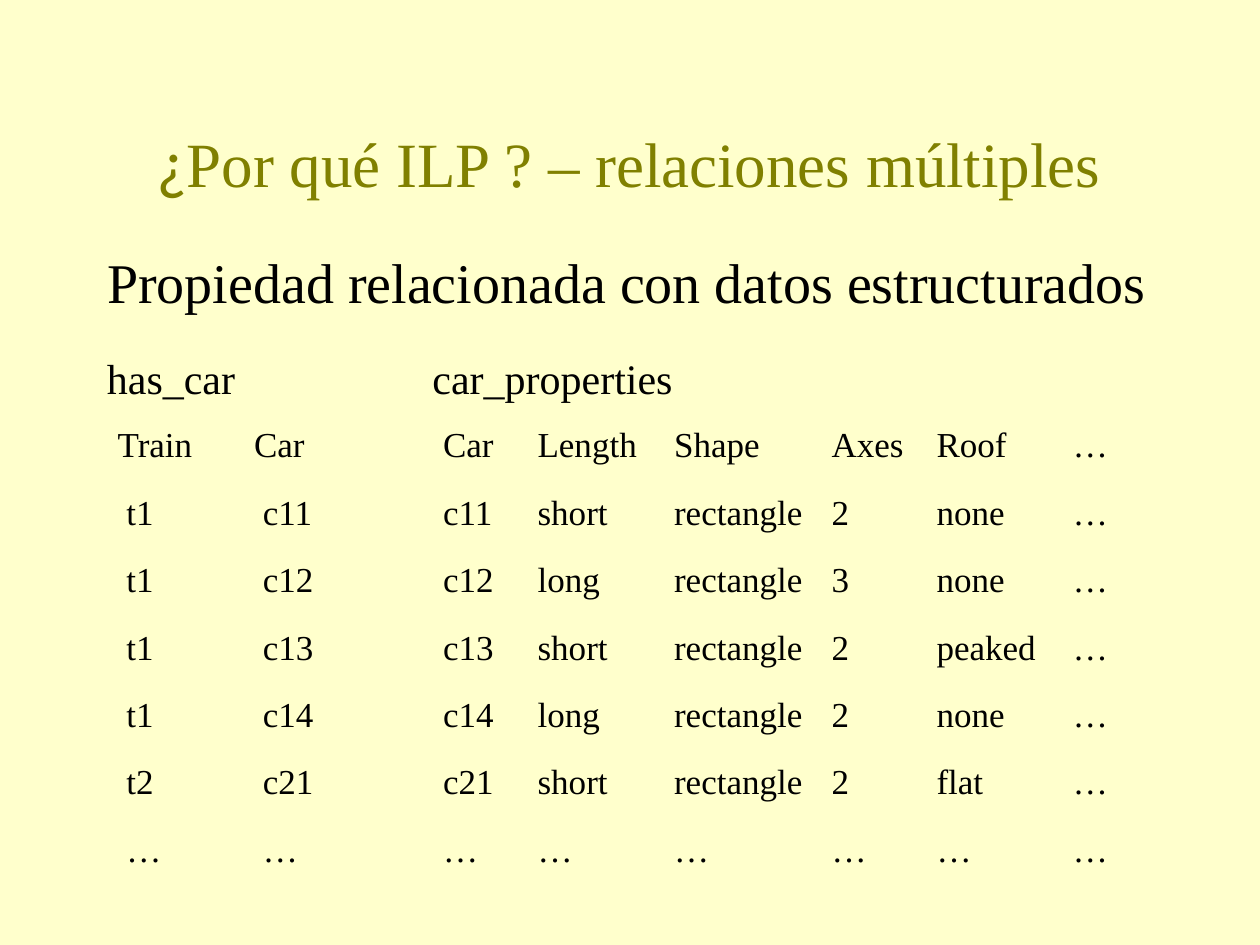
from pptx import Presentation
from pptx.dml.color import RGBColor
from pptx.enum.text import MSO_ANCHOR, MSO_AUTO_SIZE, PP_ALIGN
from pptx.util import Inches, Pt
from lxml.etree import SubElement
from pptx.oxml.ns import qn

CREAM = RGBColor(0xFF, 0xFF, 0xCC)
OLIVE = RGBColor(0x80, 0x80, 0x00)
BLACK = RGBColor(0x00, 0x00, 0x00)
SERIF = "Times New Roman"
SANS = "Lato"
PLAIN_TABLE = "{2D5ABB26-0587-4C30-8999-92F81FD0307C}"

TITLE = [("¿", SANS), ("Por qué ILP ? – relaciones múltiples", SERIF)]
SUBTITLE = "Propiedad relacionada con datos estructurados"
HAS_CAR = [
    ("Train", "Car"),
    ("t1", "c11"),
    ("t1", "c12"),
    ("t1", "c13"),
    ("t1", "c14"),
    ("t2", "c21"),
    ("…", "…"),
]
CAR_PROPERTIES = [
    ("Car", "Length", "Shape", "Axes", "Roof", "…"),
    ("c11", "short", "rectangle", "2", "none", "…"),
    ("c12", "long", "rectangle", "3", "none", "…"),
    ("c13", "short", "rectangle", "2", "peaked", "…"),
    ("c14", "long", "rectangle", "2", "none", "…"),
    ("c21", "short", "rectangle", "2", "flat", "…"),
    ("…", "…", "…", "…", "…", "…"),
]
RELATIONS = [
    dict(name="has_car", label_left=9, label_width=15, left=10,
         columns=(13, 11), rows=HAS_CAR, value_indent=0.07),
    dict(name="car_properties", label_left=40, label_width=26, left=41,
         columns=(9, 13, 15, 10, 13, 11), rows=CAR_PROPERTIES, value_indent=0),
]
LABEL_TOP, LABEL_HEIGHT = 33, 6
TABLE_TOP, TABLE_HEIGHT = 40, 45


def grid(units):
    return Inches(units / 12)


def place(shape, left, top, width, height):
    shape.left, shape.top = grid(left), grid(top)
    shape.width, shape.height = grid(width), grid(height)


def write(frame, text, size, color=BLACK, align=PP_ALIGN.LEFT, before=0,
          wrap=True, fit=MSO_AUTO_SIZE.NONE, anchor=MSO_ANCHOR.TOP):
    frame.word_wrap, frame.auto_size, frame.vertical_anchor = wrap, fit, anchor
    paragraph = frame.paragraphs[0]
    paragraph.alignment = align
    paragraph.space_before = Pt(before)
    for words, font_name in [(text, SERIF)] if isinstance(text, str) else text:
        run = paragraph.add_run()
        run.text = words
        run.font.name = font_name
        run.font.size = Pt(size)
        run.font.color.rgb = color
    return paragraph


def add_relation(slide, name, label_left, label_width, left, columns, rows, value_indent):
    frame = slide.shapes.add_table(len(rows), len(columns), grid(left), grid(TABLE_TOP),
                                   grid(sum(columns)), grid(TABLE_HEIGHT))
    table = frame.table
    table.first_row = table.horz_banding = False
    table._tbl.tblPr.find(qn("a:tableStyleId")).text = PLAIN_TABLE
    for column, width in zip(table.columns, columns):
        column.width = grid(width)
    for row_index, row in enumerate(rows):
        table.rows[row_index].height = grid(TABLE_HEIGHT / len(rows))
        for column_index, value in enumerate(row):
            cell = table.cell(row_index, column_index)
            cell.fill.background()
            cell.margin_left = Inches(0.1 + (value_indent if row_index else 0))
            write(cell.text_frame, value, 20, before=5)
    label = slide.shapes.add_textbox(grid(label_left), grid(LABEL_TOP),
                                     grid(label_width), grid(LABEL_HEIGHT))
    write(label.text_frame, name, 24)


def main():
    presentation = Presentation()
    presentation.slide_width, presentation.slide_height = Inches(10), Inches(7.5)
    slide = presentation.slides.add_slide(presentation.slide_layouts[1])
    slide.background.fill.solid()
    slide.background.fill.fore_color.rgb = CREAM

    title, body = slide.placeholders
    place(title, 9, 8, 102, 15)
    write(title.text_frame, TITLE, 36, color=OLIVE, align=PP_ALIGN.CENTER,
          fit=MSO_AUTO_SIZE.SHAPE_TO_FIT_TEXT, anchor=MSO_ANCHOR.MIDDLE)
    place(body, 9, 23, 102, 9)
    paragraph = write(body.text_frame, SUBTITLE, 32, before=8)
    properties = paragraph._p.get_or_add_pPr()
    properties.set("marL", str(Inches(0.37)))
    properties.set("indent", str(-Inches(0.37)))
    SubElement(properties, qn("a:buNone"))

    for relation in RELATIONS:
        add_relation(slide, **relation)
    presentation.save("out.pptx")


if __name__ == "__main__":
    main()
